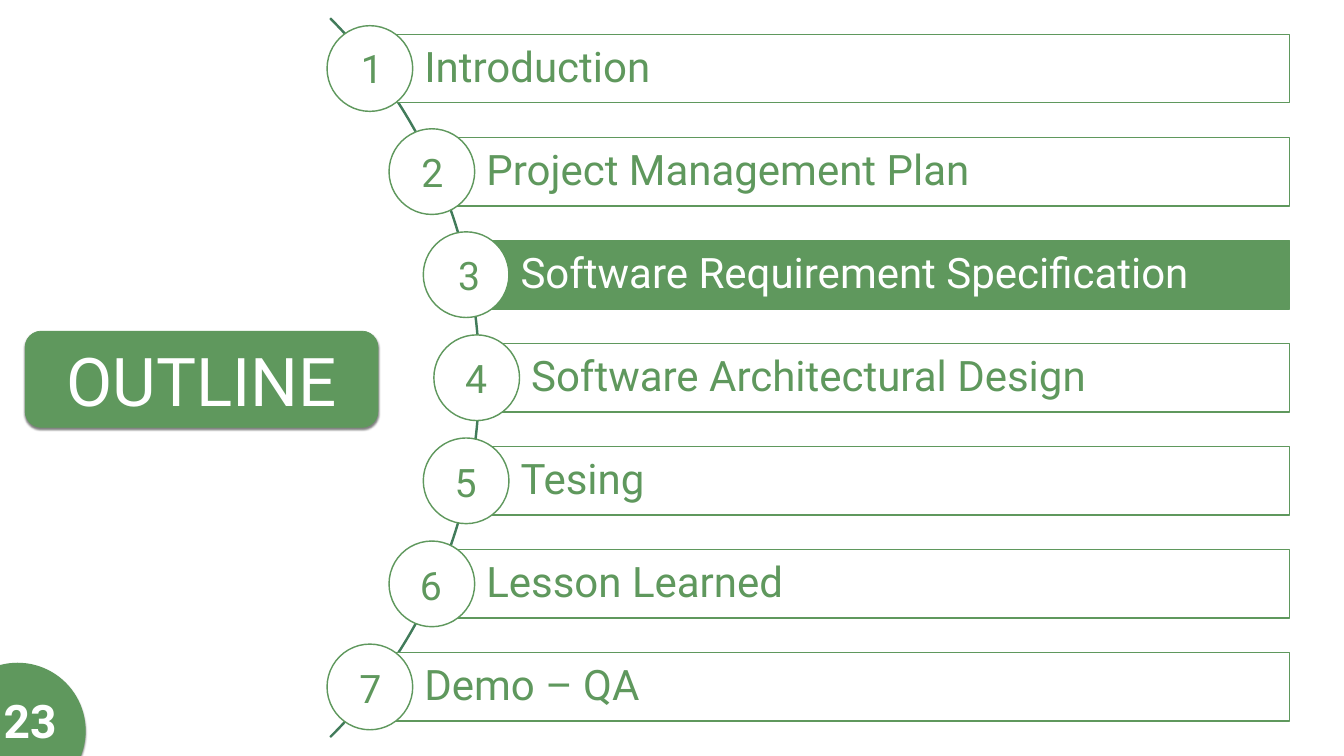
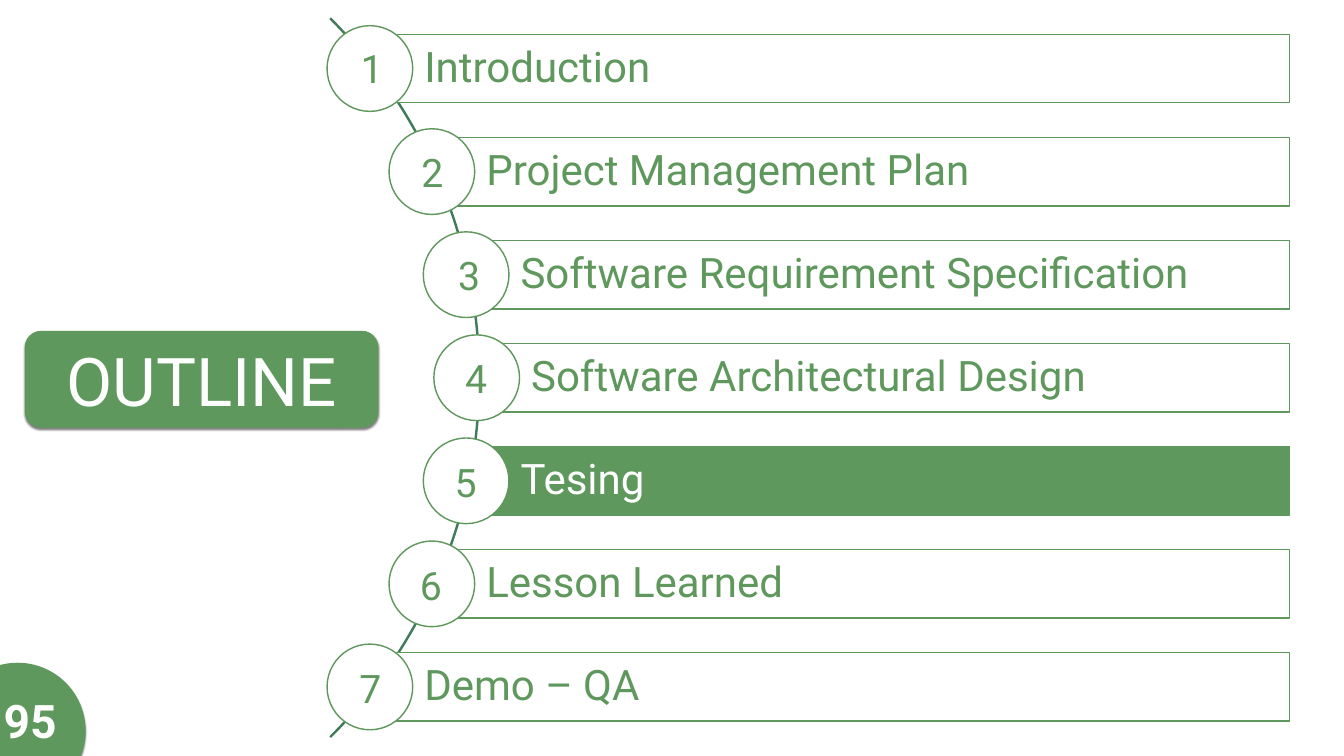
from lxml import etree
from pptx import Presentation
from pptx.dml.color import RGBColor
from pptx.enum.shapes import MSO_SHAPE
from pptx.enum.text import MSO_ANCHOR, PP_ALIGN
from pptx.oxml.ns import qn
from pptx.util import Inches, Pt

RECT, ROUND = MSO_SHAPE.RECTANGLE, MSO_SHAPE.ROUNDED_RECTANGLE
OVAL, ARC = MSO_SHAPE.OVAL, MSO_SHAPE.BLOCK_ARC
LEFT, CENTER = PP_ALIGN.LEFT, PP_ALIGN.CENTER
TOP, MIDDLE = MSO_ANCHOR.TOP, MSO_ANCHOR.MIDDLE

GREEN, DARK, WHITE, BLACK = "5F985D", "417B5A", "FFFFFF", "000000"
FONT = "Roboto"

# The grid has columns and rows of one inch.
COLS, ROWS = 26.67, 15
STEP = 2.045            # from one topic to the next
BAR_TOP, BAR_TALL, BAR_END = 0.68, 1.36, 25.59
DISC = 1.7
NUM_TOP, NUM_STEP, NUM_WIDE, NUM_TALL = 0.83, 2.05, 1.1, 1.05
TIGHT = (0.06,) * 4

# Topic, left edge of its bar, sideways shift of its number
TOPICS = [
    ("Introduction", 7.34, 0.04),
    ("Project Management Plan", 8.57, 0.01),
    ("Software Requirement Specification", 9.25, 0.06),
    ("Software Architectural Design", 9.46, -0.01),
    ("Tesing", 9.25, -0.01),
    ("Lesson Learned", 8.57, -0.02),
    ("Demo – QA", 7.34, 0.01),
]


def color(code):
    return RGBColor.from_string(code)


class Deck:
    """Holds the style and the slide being built."""

    def __init__(self):
        self.prs = Presentation()
        self.prs.slide_width = Inches(COLS)
        self.prs.slide_height = Inches(ROWS)
        self.slide = None

    def page(self):
        self.slide = self.prs.slides.add_slide(self.prs.slide_layouts[6])
        back = self.slide.background.fill
        back.solid()
        back.fore_color.rgb = color(WHITE)

    def shape(self, kind, area, fill=None, line=None, width=2):
        item = self.slide.shapes.add_shape(kind, *map(Inches, area))
        item.shadow.inherit = False
        if fill:
            item.fill.solid()
            item.fill.fore_color.rgb = color(fill)
        else:
            item.fill.background()
        if line:
            item.line.color.rgb = color(line)
            item.line.width = Pt(width)
        else:
            item.line.fill.background()
        return item

    def shade(self, item):
        """Drop a soft shadow straight below the shape."""
        effects = item._element.spPr.find(qn("a:effectLst"))
        outer = etree.SubElement(
            effects, qn("a:outerShdw"), blurRad=str(Pt(3)),
            dist=str(Pt(2)), dir="5400000", rotWithShape="0")
        tint = etree.SubElement(outer, qn("a:srgbClr"), val=BLACK)
        etree.SubElement(tint, qn("a:alpha"), val="50000")

    def text(self, item, words, size, ink, align=CENTER, anchor=MIDDLE,
             pads=TIGHT, bold=False, wrap=True):
        frame = item.text_frame
        frame.word_wrap = wrap
        frame.vertical_anchor = anchor
        (frame.margin_left, frame.margin_top,
         frame.margin_right, frame.margin_bottom) = map(Inches, pads)
        para = frame.paragraphs[0]
        para.alignment = align
        run = para.add_run()
        run.text = words
        run.font.name = FONT
        run.font.size = Pt(size)
        run.font.bold = bold
        run.font.color.rgb = color(ink)
        return para

    def label(self, area, words, size, ink, **style):
        box = self.slide.shapes.add_textbox(*map(Inches, area))
        self.text(box, words, size, ink, **style)

    def title(self, words):
        plate = self.shape(ROUND, (0.5, 6.57, 7, 1.91), GREEN, GREEN, 1)
        self.shade(plate)
        self.text(plate, words, 96, WHITE)

    def curve(self):
        arc = self.shape(ARC, (-10.65, -2.59, 20.17, 20.17), line=DARK)
        for spot, value in enumerate((189, 27, 0.001)):
            arc.adjustments[spot] = value

    def topic(self, row, words, left, live):
        """Draw one bar with its disc; the live one is filled."""
        top = BAR_TOP + row * STEP
        bar = self.shape(RECT, (left, top, BAR_END - left, BAR_TALL),
                         GREEN if live else WHITE, GREEN)
        para = self.text(bar, words, 60, WHITE if live else GREEN,
                         align=LEFT, pads=(1.08, 0.17, 0.17, 0.17))
        para.line_spacing = 0.9
        mid = top + BAR_TALL / 2
        self.shape(OVAL, (left - DISC / 2, mid - DISC / 2, DISC, DISC),
                   WHITE, GREEN)

    def number(self, row, mid):
        area = (mid - NUM_WIDE / 2, NUM_TOP + row * NUM_STEP,
                NUM_WIDE, NUM_TALL)
        self.label(area, str(row + 1), 56, GREEN)

    def outline(self, live, folio):
        self.page()
        self.shade(self.shape(OVAL, (-1, 13.15, 2.7, 2.7), GREEN))
        self.title("OUTLINE")
        self.curve()
        for row, (words, left, _) in enumerate(TOPICS):
            self.topic(row, words, left, row + 1 == live)
        self.label((-0.03, 13.68, 1.26, 1.21), str(folio), 66, WHITE,
                   anchor=TOP, pads=(0.1, 0.05, 0.1, 0.05),
                   bold=True, wrap=False)
        for row, (_, left, shift) in enumerate(TOPICS):
            self.number(row, left + shift)


def main():
    deck = Deck()
    for live, folio in ((3, 23), (5, 95)):
        deck.outline(live, folio)
    deck.prs.save("out.pptx")


if __name__ == "__main__":
    main()
